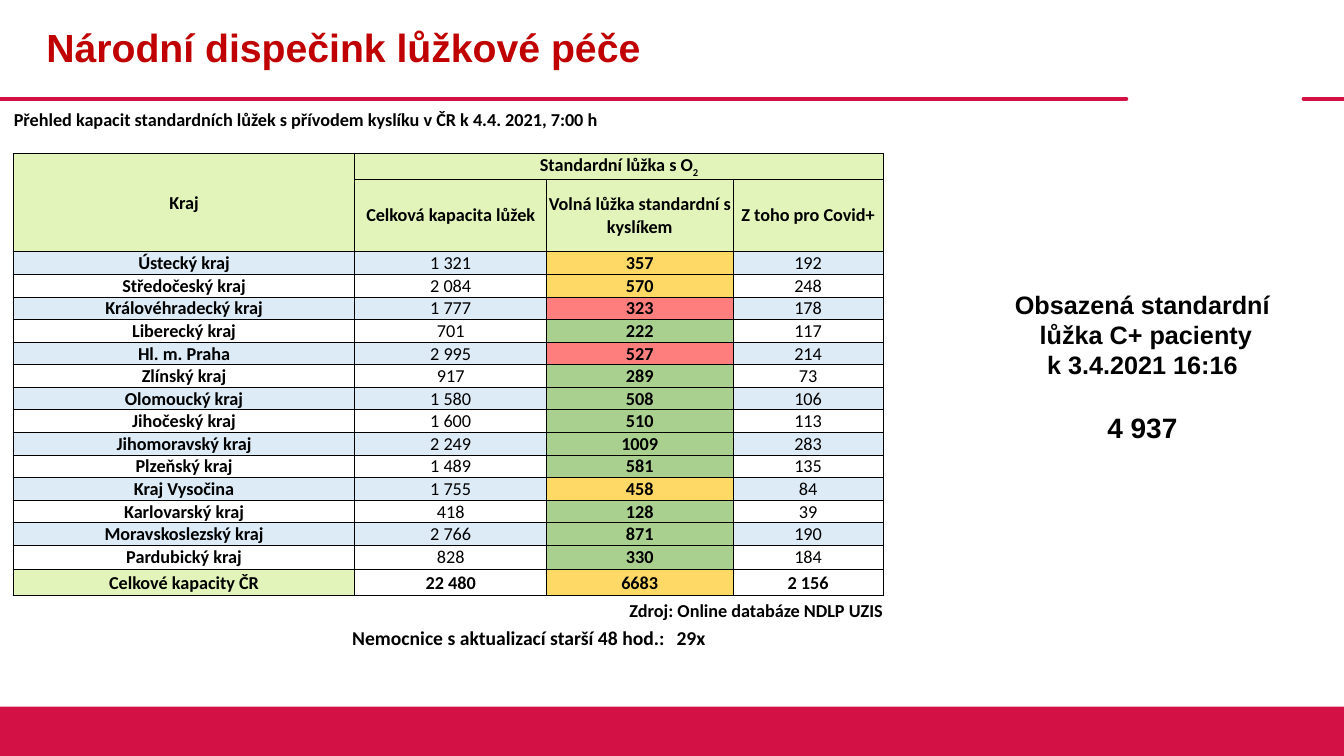
from dataclasses import dataclass

from lxml import etree
from pptx import Presentation
from pptx.dml.color import RGBColor
from pptx.enum.shapes import MSO_CONNECTOR, MSO_SHAPE
from pptx.enum.text import MSO_ANCHOR, PP_ALIGN
from pptx.oxml.ns import qn
from pptx.util import Inches, Pt

STRAIGHT = MSO_CONNECTOR.STRAIGHT
RECTANGLE = MSO_SHAPE.RECTANGLE
MIDDLE = MSO_ANCHOR.MIDDLE
BOTTOM = MSO_ANCHOR.BOTTOM
LEFT, CENTER, RIGHT = PP_ALIGN.LEFT, PP_ALIGN.CENTER, PP_ALIGN.RIGHT
TITLE_ONLY = 5
PLAIN_TABLE_STYLE = "{2D5ABB26-0587-4C30-8999-92F81FD0307C}"


@dataclass(frozen=True)
class Theme:
    heading_font: str = "Arial"
    table_font: str = "Calibri"
    title: str = "C00000"
    brand: str = "D31145"
    ink: str = "000000"
    header: str = "E2F4BA"
    band: str = "DDEBF7"
    white: str = "FFFFFF"
    red: str = "FE7E7E"
    amber: str = "FFD966"
    green: str = "A9D08E"
    title_size: float = 28
    total_size: float = 20
    body_size: float = 18
    note_size: float = 14
    table_size: float = 13
    thick: float = 1
    thin: float = 0.5


# Region, total capacity, free beds with oxygen, beds for Covid+
REGIONS = [
    ("Ústecký kraj", 1321, 357, 192),
    ("Středočeský kraj", 2084, 570, 248),
    ("Královéhradecký kraj", 1777, 323, 178),
    ("Liberecký kraj", 701, 222, 117),
    ("Hl. m. Praha", 2995, 527, 214),
    ("Zlínský kraj", 917, 289, 73),
    ("Olomoucký kraj", 1580, 508, 106),
    ("Jihočeský kraj", 1600, 510, 113),
    ("Jihomoravský kraj", 2249, 1009, 283),
    ("Plzeňský kraj", 1489, 581, 135),
    ("Kraj Vysočina", 1755, 458, 84),
    ("Karlovarský kraj", 418, 128, 39),
    ("Moravskoslezský kraj", 2766, 871, 190),
    ("Pardubický kraj", 828, 330, 184),
]
TOTALS = ("Celkové kapacity ČR", 22480, 6683, 2156)
HEADINGS = ["Celková kapacita lůžek", "Volná lůžka standardní s kyslíkem", "Z toho pro Covid+"]
STRIP_WIDTHS = [4.56, 1.36, 1.35, 1.1, 1.34]
COLUMN_WIDTHS = [3.39, 1.9, 1.85, 1.49, 1.31]
ROW_HEIGHTS = [0.25, 0.22, 0.25, 0.72] + [0.22] * 13 + [0.24, 0.26, 0.3]
GROUP_ROW, HEADING_ROW, FIRST_REGION_ROW = 2, 3, 4
TOTAL_ROW = FIRST_REGION_ROW + len(REGIONS)
SOURCE_ROW = TOTAL_ROW + 1
THICK_ROW_EDGES = {GROUP_ROW, HEADING_ROW, FIRST_REGION_ROW, TOTAL_ROW, SOURCE_ROW}
THICK_COLUMN_EDGES = {0, 1, 4}


class SlideBuilder:
    def __init__(self, deck, theme):
        self.theme = theme
        self.slide = deck.slides.add_slide(deck.slide_layouts[TITLE_ONLY])

    def style(self, span, size, font, color=None, bold=True):
        span.font.size = Pt(size)
        span.font.name = font
        span.font.bold = bold
        span.font.color.rgb = RGBColor.from_string(color or self.theme.ink)

    def title(self, text, left, top, width, height):
        box = self.slide.shapes.title
        box.left, box.top, box.width, box.height = map(Inches, (left, top, width, height))
        frame = box.text_frame
        frame.text = text
        frame.vertical_anchor = MIDDLE
        para = frame.paragraphs[0]
        para.alignment = LEFT
        para.line_spacing = 0.9
        self.style(para.runs[0], self.theme.title_size, self.theme.heading_font, self.theme.title)

    def rule(self, start, end, y):
        line = self.slide.shapes.add_connector(STRAIGHT, *map(Inches, (start, y, end, y)))
        line.line.color.rgb = RGBColor.from_string(self.theme.brand)
        line.line.width = Pt(3)
        properties = line._element.spPr
        properties.find(qn("a:ln")).set("cap", "rnd")
        etree.SubElement(properties, qn("a:effectLst"))

    def bar(self, left, top, width, height):
        bar = self.slide.shapes.add_shape(RECTANGLE, *map(Inches, (left, top, width, height)))
        bar.shadow.inherit = False
        bar.fill.solid()
        bar.fill.fore_color.rgb = RGBColor.from_string(self.theme.brand)
        bar.line.fill.background()

    def text(self, left, top, width, height, lines, align):
        """Each line is (space before, [(text, size, font, bold), ...])."""
        box = self.slide.shapes.add_textbox(*map(Inches, (left, top, width, height)))
        frame = box.text_frame
        frame.word_wrap = True
        for index, (space, spans) in enumerate(lines):
            para = frame.add_paragraph() if index else frame.paragraphs[0]
            para.alignment = align
            if space:
                para.space_before = Pt(space)
            for text, size, font, bold in spans:
                span = para.add_run()
                span.text = text
                self.style(span, size, font, bold=bold)

    def table(self, left, top, widths, heights):
        table = self.slide.shapes.add_table(
            len(heights), len(widths), Inches(left), Inches(top),
            Inches(sum(widths)), Inches(sum(heights))).table
        table.first_row = table.horz_banding = False
        table._tbl.tblPr.find(qn("a:tableStyleId")).text = PLAIN_TABLE_STYLE
        for column, width in zip(table.columns, widths):
            column.width = Inches(width)
        for row, height in zip(table.rows, heights):
            row.height = Inches(height)
        for cell in table.iter_cells():
            cell.margin_left = cell.margin_right = cell.margin_top = Pt(0.5)
            cell.margin_bottom = 0
            # Keep empty cells as low as their row
            end = etree.SubElement(cell.text_frame.paragraphs[0]._p, qn("a:endParaRPr"))
            end.set("sz", str(self.theme.table_size * 100))
        return table

    def borders(self, cell, row, column):
        edges = {
            "a:lnL": column in THICK_COLUMN_EDGES,
            "a:lnR": column + 1 in THICK_COLUMN_EDGES,
            "a:lnT": row in THICK_ROW_EDGES,
            "a:lnB": row + 1 in THICK_ROW_EDGES,
        }
        for tag, is_thick in edges.items():
            width = Pt(self.theme.thick if is_thick else self.theme.thin)
            line = etree.SubElement(cell._tc.get_or_add_tcPr(), qn(tag), w=str(width))
            fill = etree.SubElement(line, qn("a:solidFill"))
            etree.SubElement(fill, qn("a:srgbClr"), val=self.theme.ink)

    def cell(self, cell, text, fill=None, bold=True, align=CENTER, anchor=MIDDLE):
        if fill:
            cell.fill.solid()
            cell.fill.fore_color.rgb = RGBColor.from_string(fill)
        cell.vertical_anchor = anchor
        para = cell.text_frame.paragraphs[0]
        para.text = text
        para.alignment = align
        self.style(para.runs[0], self.theme.table_size, self.theme.table_font, bold=bold)
        return para

    def availability(self, capacity, free):
        share = free / capacity
        if share < 0.2:
            return self.theme.red
        return self.theme.amber if share < 0.3 else self.theme.green

    def region_row(self, table, row, record, name_fill, fill, bold):
        name, capacity, free, covid = record
        self.cell(table.cell(row, 0), name, name_fill)
        self.cell(table.cell(row, 1), f"{capacity:,}".replace(",", " "), fill, bold)
        self.cell(table.cell(row, 2), str(free), self.availability(capacity, free))
        self.cell(table.cell(row, 3), f"{covid:,}".replace(",", " "), fill, bold)


def main():
    deck = Presentation()
    deck.slide_width, deck.slide_height = Inches(13.33), Inches(7.5)
    theme = Theme()
    page = SlideBuilder(deck, theme)

    # Frame and title
    page.rule(0, 11.17, 0.98)
    page.rule(12.93, 13.33, 0.98)
    page.bar(0, 7.01, 13.33, 0.49)
    page.title("Národní dispečink lůžkové péče", 0.36, 0, 10.81, 0.98)

    # Empty table strip behind the caption
    page.table(0.36, 1.11, STRIP_WIDTHS, [0.28])

    # Occupied beds
    heading = ["Obsazená standardní", " lůžka C+ pacienty", "k 3.4.2021 16:16"]
    lines = [(0, [(text, theme.body_size, theme.heading_font, True)]) for text in heading]
    lines.append((22, [("4 937", theme.total_size, theme.heading_font, True)]))
    page.text(9.59, 2.82, 3.48, 1.65, lines, CENTER)

    # Late updates
    page.text(3.35, 6.1, 3.85, 0.4, [(0, [
        (" Nemocnice s aktualizací starší 48 hod.: ", theme.note_size, theme.table_font, True),
        (" ", theme.body_size, theme.heading_font, False),
        ("29x", theme.note_size, theme.table_font, True),
    ])], LEFT)

    # Capacity table: grid, caption and headings
    table = page.table(0.13, 1.05, COLUMN_WIDTHS, ROW_HEIGHTS)
    for row in range(GROUP_ROW, SOURCE_ROW):
        for column in range(4):
            page.borders(table.cell(row, column), row, column)
    table.cell(0, 0).merge(table.cell(0, 4))
    table.cell(GROUP_ROW, 0).merge(table.cell(HEADING_ROW, 0))
    table.cell(GROUP_ROW, 1).merge(table.cell(GROUP_ROW, 3))
    table.cell(SOURCE_ROW, 1).merge(table.cell(SOURCE_ROW, 3))
    page.cell(table.cell(0, 0), "Přehled kapacit standardních lůžek s přívodem kyslíku v ČR k 4.4. 2021, 7:00 h",
              align=LEFT, anchor=BOTTOM)
    page.cell(table.cell(GROUP_ROW, 0), "Kraj", theme.header)
    group = page.cell(table.cell(GROUP_ROW, 1), "Standardní lůžka s O", theme.header)
    subscript = group.add_run()
    subscript.text = "2"
    page.style(subscript, theme.table_size, theme.table_font)
    subscript._r.get_or_add_rPr().set("baseline", "-25000")
    for column, text in enumerate(HEADINGS, 1):
        page.cell(table.cell(HEADING_ROW, column), text, theme.header)

    # Capacity table: regions, totals and source
    for index, record in enumerate(REGIONS):
        fill = theme.white if index % 2 else theme.band
        page.region_row(table, FIRST_REGION_ROW + index, record, fill, fill, False)
    page.region_row(table, TOTAL_ROW, TOTALS, theme.header, None, True)
    page.cell(table.cell(SOURCE_ROW, 1), "Zdroj: Online databáze NDLP UZIS", align=RIGHT)

    deck.save("out.pptx")


if __name__ == "__main__":
    main()
